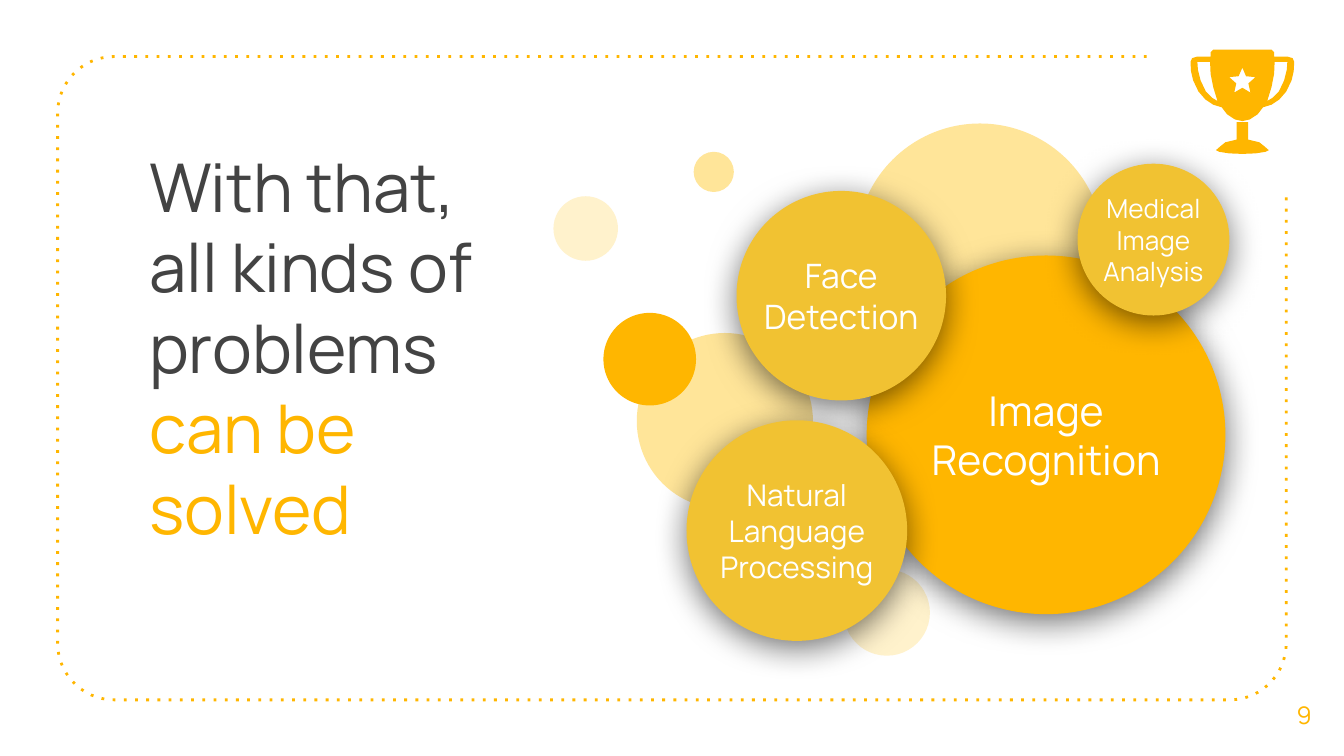
import math

import pptx
import pptx.dml.color
import pptx.enum.dml
import pptx.enum.shapes
import pptx.enum.text
import pptx.oxml
import pptx.oxml.ns
import pptx.util
from pptx.util import Cm

FONT = "Manrope"
COLORS = {"amber": "FFB600", "gold": "F1C232", "pale": "FFE599", "cream": "FFF2CC",
          "ink": "434343", "white": "FFFFFF"}

# All lengths below are centimetres.
HEADLINE = [("With that, all kinds of problems", "ink"), (" can be solved", "amber")]
PAGE_NUMBER = "9"

# centre x, centre y, diameter, colour
BUBBLES = [
    (16.76, 11.58, 1.63, "cream"),
    (11.07, 4.32, 1.22, "cream"),
    (13.7, 7.96, 3.33, "pale"),
    (18.52, 4.67, 4.67, "pale"),
    (12.28, 6.79, 1.75, "amber"),
    (13.49, 3.25, 0.76, "pale"),
]

# label, text size, centre x, centre y, diameter, label width, label height, colour
TOPICS = [
    ("Image Recognition", 22, 19.77, 8.22, 6.78, 5.18, 3.23, "amber"),
    ("Face Detection", 18, 15.9, 5.59, 3.96, 3.66, 2.62, "gold"),
    ("Natural Language Processing", 16, 15.06, 10.03, 4.17, 3.78, 2.62, "gold"),
    ("Medical Image Analysis", 14, 21.8, 4.53, 2.87, 2.67, 1.9, "gold"),
]

FRAME = {"left": 1.09, "top": 1.07, "right": 24.31, "bottom": 13.23, "radius": 1.07,
         "start": (21.67, 1.07), "end": (24.31, 3.71)}

# Right halves of the trophy: distance from its axis, y
TROPHY_AXIS = 23.48
CUP = [(0.55, 0.94), (0.6, 0.99), (0.6, 1.07), (0.85, 1.07), (0.95, 1.1), (0.98, 1.17),
       (0.97, 1.35), (0.93, 1.52), (0.83, 1.73), (0.7, 1.88), (0.55, 1.98), (0.39, 2.03),
       (0.29, 2.16), (0.14, 2.26), (0, 2.29)]
HANDLE = [(0.85, 1.17), (0.84, 1.32), (0.79, 1.52), (0.69, 1.73), (0.57, 1.85),
          (0.47, 1.91), (0.55, 1.65), (0.6, 1.4), (0.61, 1.17)]
FOOT = [(0.11, 2.31), (0.11, 2.64), (0.32, 2.69), (0.42, 2.77), (0.5, 2.84),
        (0.44, 2.87), (0.25, 2.9), (0, 2.91)]
STAR = {"y": 1.54, "outer": 0.26, "inner": 0.12}

SHADOW = (
    '<a:effectLst %s><a:outerShdw blurRad="228600" dist="50800" dir="5400000" '
    'algn="bl" rotWithShape="0"><a:srgbClr val="000000"><a:alpha val="55000"/>'
    "</a:srgbClr></a:outerShdw></a:effectLst>" % pptx.oxml.ns.nsdecls("a")
)


def rgb(name):
    return pptx.dml.color.RGBColor.from_string(COLORS[name])


def paint(shape, color):
    shape.shadow.inherit = False
    shape.fill.solid()
    shape.fill.fore_color.rgb = rgb(color)
    shape.line.fill.background()


def add_circle(slide, x, y, diameter, color):
    circle = slide.shapes.add_shape(
        pptx.enum.shapes.MSO_SHAPE.OVAL,
        Cm(x - diameter / 2), Cm(y - diameter / 2), Cm(diameter), Cm(diameter))
    paint(circle, color)
    return circle


def add_text(slide, box, runs, size, centered=True):
    """Write (text, colour) runs as one wrapped paragraph."""
    frame = slide.shapes.add_textbox(*map(Cm, box)).text_frame
    frame.word_wrap = True
    frame.margin_left = frame.margin_right = Cm(0.25)
    frame.margin_top = frame.margin_bottom = Cm(0.25)
    paragraph = frame.paragraphs[0]
    if centered:
        frame.vertical_anchor = pptx.enum.text.MSO_ANCHOR.MIDDLE
        paragraph.alignment = pptx.enum.text.PP_ALIGN.CENTER
    for text, color in runs:
        run = paragraph.add_run()
        run.text = text
        run.font.name = FONT
        run.font.size = pptx.util.Pt(size)
        run.font.color.rgb = rgb(color)


def add_outline(slide, contours, close=True):
    contours = [[(Cm(x), Cm(y)) for x, y in contour] for contour in contours]
    builder = slide.shapes.build_freeform(*contours[0][0])
    for index, contour in enumerate(contours):
        if index:
            builder.move_to(*contour[0])
        builder.add_line_segments(contour[1:], close=close)
    return builder.convert_to_shape()


def polar(x, y, radius, degrees):
    angle = math.radians(degrees)
    return x + radius * math.cos(angle), y + radius * math.sin(angle)


def add_frame(slide):
    radius = FRAME["radius"]
    left, right = FRAME["left"] + radius, FRAME["right"] - radius
    top, bottom = FRAME["top"] + radius, FRAME["bottom"] - radius
    points = [FRAME["start"]]
    for x, y, first in [(left, top, 270), (left, bottom, 180), (right, bottom, 90)]:
        points += [polar(x, y, radius, first - step) for step in range(0, 91, 6)]
    points.append(FRAME["end"])
    frame = add_outline(slide, [points], close=False)
    frame.shadow.inherit = False
    frame.fill.background()
    frame.line.color.rgb = rgb("amber")
    frame.line.width = pptx.util.Pt(1.5)
    frame.line.dash_style = pptx.enum.dml.MSO_LINE.ROUND_DOT
    for dash in frame._element.iter(pptx.oxml.ns.qn("a:prstDash")):
        dash.set("val", "dot")


def add_trophy(slide):
    def side(half, sign):
        return [(TROPHY_AXIS + sign * dx, y) for dx, y in half]

    def whole(half):
        return side(half, 1) + side(half, -1)[::-1]

    star = [polar(TROPHY_AXIS, STAR["y"], STAR["inner" if i % 2 else "outer"], 36 * i - 90)
            for i in range(10)]
    paint(add_outline(slide, [whole(FOOT)]), "amber")
    cup = [whole(CUP), star[::-1], side(HANDLE, 1)[::-1], side(HANDLE, -1)]
    paint(add_outline(slide, cup), "amber")


def main():
    deck = pptx.Presentation()
    deck.slide_width, deck.slide_height = Cm(25.4), Cm(14.29)
    slide = deck.slides.add_slide(deck.slide_layouts[6])

    add_frame(slide)
    add_text(slide, (2.57, 2.49, 7.54, 2.39), HEADLINE, 36, centered=False)
    add_text(slide, (23.9, 12.75, 1.5, 1.52), [(PAGE_NUMBER, "amber")], 13)
    for bubble in BUBBLES:
        add_circle(slide, *bubble)
    for label, size, x, y, diameter, width, height, color in TOPICS:
        properties = add_circle(slide, x, y, diameter, color)._element.spPr
        properties.remove(properties.find(pptx.oxml.ns.qn("a:effectLst")))
        properties.append(pptx.oxml.parse_xml(SHADOW))
        add_text(slide, (x - width / 2, y - height / 2, width, height),
                 [(label, "white")], size)
    add_trophy(slide)
    deck.save("out.pptx")


if __name__ == "__main__":
    main()
